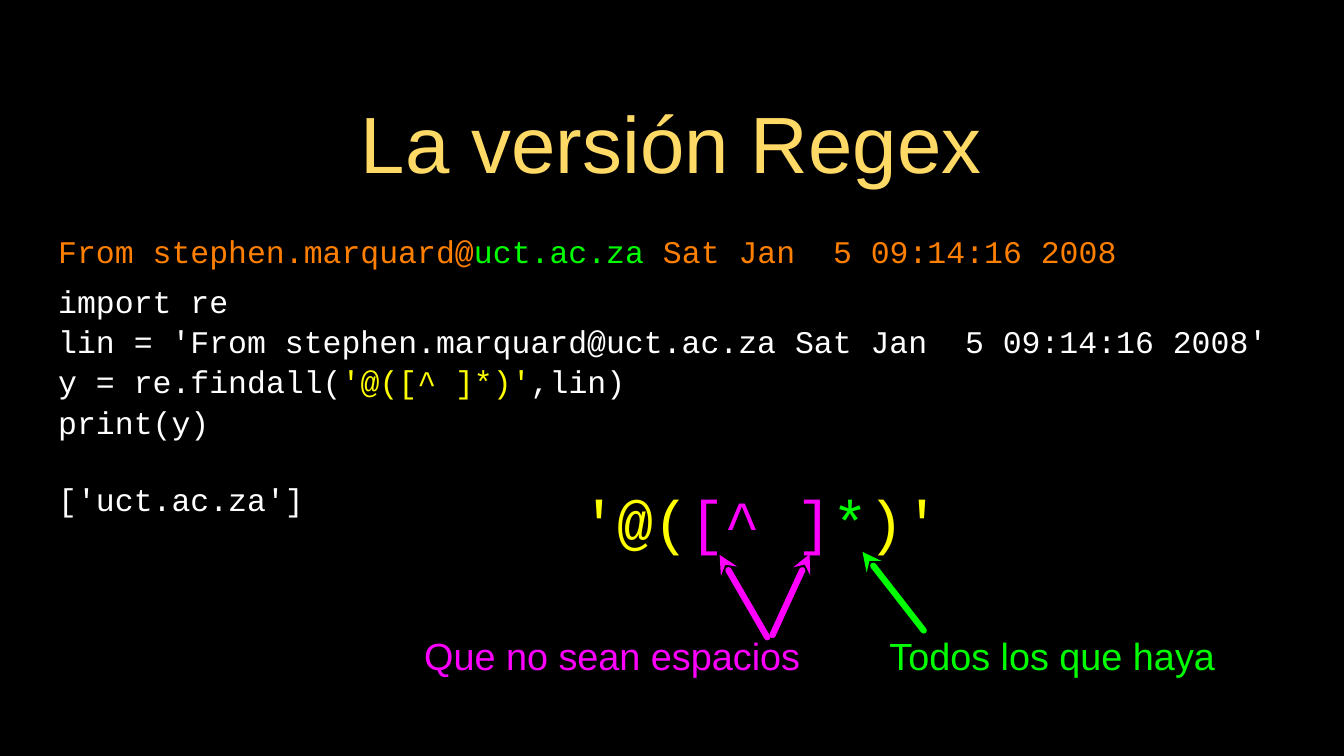
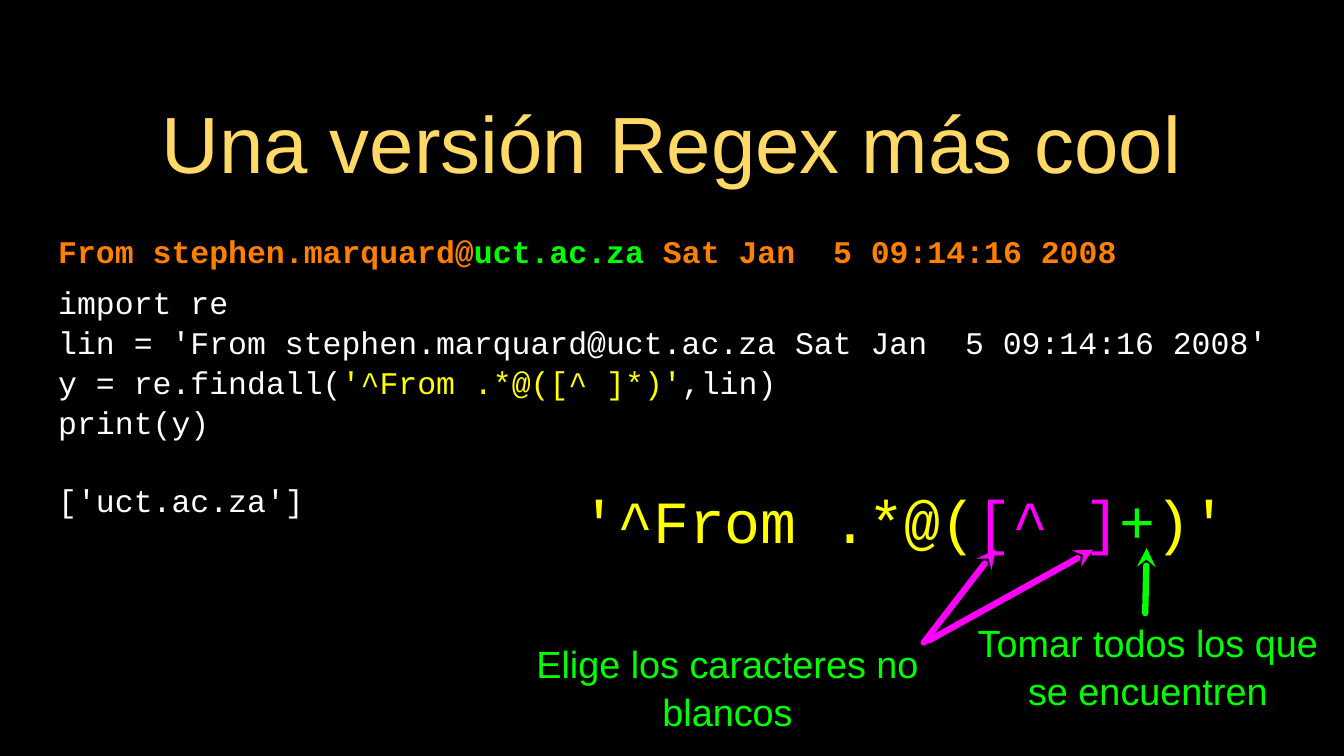
import pptx
import pptx.dml.color
import pptx.enum.shapes
import pptx.enum.text
import pptx.oxml.ns
import pptx.util
from lxml import etree

PX = 9144  # EMU per px, 100 px to the inch
SLIDE_SIZE = (1778, 1000)

BLACK = "000000"
WHITE = "FFFFFF"
GOLD = "FFD966"
ORANGE = "FF7F00"
YELLOW = "FFFF00"
MAGENTA = "FF00FF"
GREEN = "00FF00"

SANS = "Arial"
MONO = "Courier New"
CODE_SIZE = 30
LINE_SPACING = 1.06

LEFT = pptx.enum.text.PP_ALIGN.LEFT
CENTER = pptx.enum.text.PP_ALIGN.CENTER


def px(length):
    return pptx.util.Emu(length * PX)


def color(hex_string):
    return pptx.dml.color.RGBColor.from_string(hex_string)


def add_text(slide, box, lines, size, font=MONO, align=LEFT, inset=0, bold=False):
    """Each line is a list of (text, colour) runs."""
    shape = slide.shapes.add_textbox(*map(px, box))
    frame = shape.text_frame
    frame.word_wrap = True
    frame.vertical_anchor = pptx.enum.text.MSO_ANCHOR.MIDDLE
    frame.margin_left = frame.margin_right = px(inset)
    frame.margin_top = frame.margin_bottom = px(inset)
    for index, runs in enumerate(lines):
        paragraph = frame.add_paragraph() if index else frame.paragraphs[0]
        paragraph.alignment = align
        paragraph.line_spacing = LINE_SPACING
        paragraph.font.name = font
        paragraph.font.size = pptx.util.Pt(size)
        paragraph.font.bold = bold
        for text, run_color in runs:
            run = paragraph.add_run()
            run.text = text
            run.font.color.rgb = color(run_color)
    return frame


def add_label(slide, box, text, label_color):
    add_text(slide, box, [[(text, label_color)]], 36, SANS, CENTER)


def add_arrow(slide, tip, tail, line_color):
    connector = slide.shapes.add_connector(
        pptx.enum.shapes.MSO_CONNECTOR.STRAIGHT, *map(px, tip + tail))
    connector.line.color.rgb = color(line_color)
    connector.line.width = pptx.util.Pt(6)
    line = connector.line._get_or_add_ln()
    line.set("cap", "rnd")
    qn = pptx.oxml.ns.qn
    etree.SubElement(line, qn("a:round"))
    etree.SubElement(line, qn("a:headEnd"), type="stealth")
    etree.SubElement(connector._element.spPr, qn("a:effectLst"))


def add_code(slide, box, pattern):
    lines = [
        [("import re", WHITE)],
        [("lin = 'From stephen.marquard@uct.ac.za Sat Jan  5 09:14:16 2008'", WHITE)],
        [("y = re.findall(", WHITE), (pattern, YELLOW), (",lin)", WHITE)],
        [("print(y)", WHITE)],
        [("['uct.ac.za']", WHITE)],
    ]
    frame = add_text(slide, box, lines, CODE_SIZE)
    # One line of space sets the output apart from the code
    frame.paragraphs[-1].space_before = pptx.util.Pt(36)


def add_regex_slide(presentation, title, pattern, code_box, bold_header=False):
    """Black slide with title, sample mail line and code."""
    slide = presentation.slides.add_slide(presentation.slide_layouts[6])
    slide.background.fill.solid()
    slide.background.fill.fore_color.rgb = color(BLACK)
    add_text(slide, (126, 89, 1524, 189), [[(title, GOLD)]], 76, SANS, CENTER, inset=4)
    mail_line = [("From stephen.marquard@", ORANGE), ("uct.ac.za", GREEN),
                 (" Sat Jan  5 09:14:16 2008", ORANGE)]
    add_text(slide, (77, 294, 1556, 74), [mail_line], CODE_SIZE, bold=bold_header)
    add_code(slide, code_box, pattern)
    return slide


def add_large_pattern(slide, width, start, repeat):
    runs = [(start, YELLOW), ("[^ ]", MAGENTA), (repeat, GREEN), (")'", YELLOW)]
    add_text(slide, (769, 637, width, 96), [runs], 57)


def main():
    presentation = pptx.Presentation()
    presentation.slide_width, presentation.slide_height = map(px, SLIDE_SIZE)

    # Simple pattern
    slide = add_regex_slide(presentation, "La versión Regex", "'@([^ ]*)'",
                            (77, 386, 1632, 284))
    add_large_pattern(slide, 480, "'@(", "*")
    add_label(slide, (475, 831, 670, 68), "Que no sean espacios", MAGENTA)
    add_label(slide, (1123, 831, 538, 68), "Todos los que haya", GREEN)
    add_arrow(slide, (952, 734), (1015, 843), MAGENTA)
    add_arrow(slide, (1071, 733), (1022, 840), MAGENTA)
    add_arrow(slide, (1141, 730), (1222, 834), GREEN)

    # Pattern anchored at the start of the line
    slide = add_regex_slide(presentation, "Una versión Regex más cool",
                            "'^From .*@([^ ]*)'", (77, 375, 1639, 308), bold_header=True)
    add_large_pattern(slide, 864, "'^From .*@(", "+")
    add_label(slide, (656, 874, 613, 68), "Elige los caracteres no blancos", GREEN)
    add_label(slide, (1279, 846, 479, 68), "Tomar todos los que se encuentren", GREEN)
    add_arrow(slide, (1317, 727), (1222, 850), MAGENTA)
    add_arrow(slide, (1446, 727), (1229, 847), MAGENTA)
    add_arrow(slide, (1517, 725), (1515, 811), GREEN)

    presentation.save("out.pptx")


if __name__ == "__main__":
    main()
